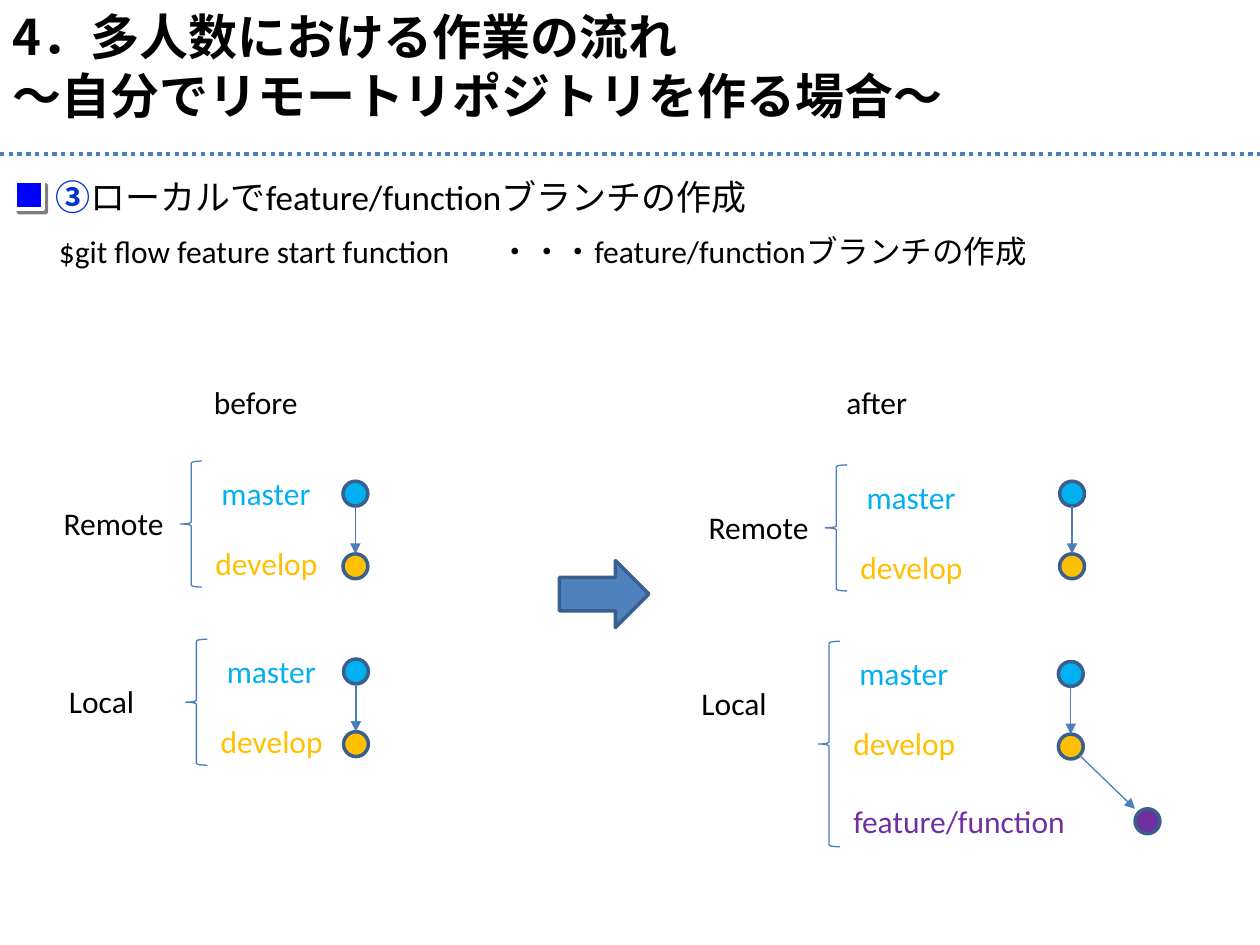
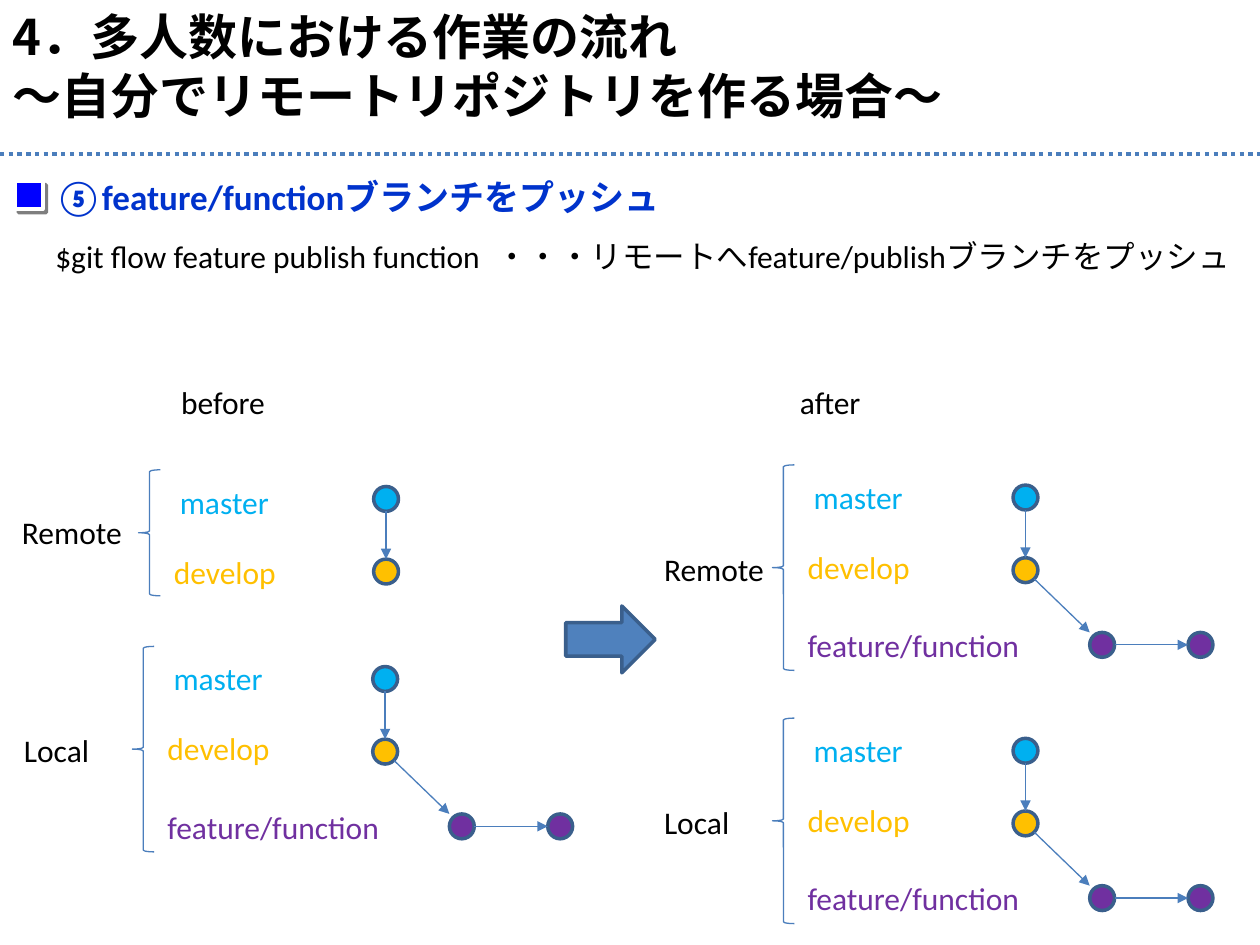
from lxml import etree
from pptx import Presentation
from pptx.dml.color import RGBColor
from pptx.enum import dml, shapes, text
from pptx.oxml import ns
from pptx.util import Pt

BLACK, WHITE, HEADING = "000000", "FFFFFF", "0033CC"
LINE, OUTLINE, ARROW, MARKER = "4B7EBC", "3A5F8C", "4F81BD", "0000FF"
BRANCHES = [("master", "00B0F0", 66), ("develop", "FFC000", 73.5), ("feature/function", "7030A0", 137)]
LATIN, JAPANESE = "Calibri", "Noto Sans CJK JP"
TITLE = "4．多人数における作業の流れ\n～自分でリモートリポジトリを作る場合～"
DOT = 14.2
KIND = shapes.MSO_SHAPE


def paint(target, color):
    """Give a fill, line or font one solid colour, from a hex string."""
    if hasattr(target, "solid"):
        target.solid()
        target.fore_color.rgb = RGBColor.from_string(color)
    elif hasattr(target, "fill") and hasattr(target, "width"):
        paint(target.fill, color)
    else:
        target.color.rgb = RGBColor.from_string(color)


def style(run, size, color=BLACK, bold=False, latin=LATIN, asian=JAPANESE):
    run.font.size, run.font.bold, run.font.name = Pt(size), bold, latin
    paint(run.font, color)
    ea = etree.SubElement(run.font._element, ns.qn("a:ea"), typeface=asian)
    run.font._element.find(ns.qn("a:latin")).addnext(ea)


# Groups: name, (brace x, y), (first dot x, y), number of feature commits, tall brace?
slides = [
    dict(
        heading=[("③", HEADING, True), ("ローカルでfeature/functionブランチの作成", BLACK, False)],
        command="$git flow feature start function\t・・・feature/functionブランチの作成",
        command_at=(26.6, 129),
        captions=[("before", 115.2, 62.6), ("after", 476.6, 49.7)],
        arrow_at=(319.7, 320.4),
        groups=[
            ("Remote", (103, 263.5), (196, 275), 0),
            ("Local", (106, 365.3), (196.3, 376.6), 0),
            ("Remote", (471.6, 265.7), (605.5, 275), 0),
            ("Local", (467.5, 366.5), (604.8, 378), 1),
        ]),
    dict(
        heading=[("⑤feature/functionブランチをプッシュ", HEADING, True)],
        command="$git flow feature publish function\t・・・リモートへfeature/publishブランチをプッシュ",
        command_at=(24.5, 131.8),
        captions=[("before", 96.5, 62.6), ("after", 450, 49.7)],
        arrow_at=(323.3, 346.3),
        groups=[
            ("Remote", (79.2, 268.5), (213.5, 278), 0),
            ("Local", (75.6, 369.4), (213, 380.9), 2),
            ("Remote", (441.4, 265.7), (578.9, 277.2), 2),
            ("Local", (441.4, 410.4), (578.9, 421.9), 2),
        ]),
]

prs = Presentation()
prs.slide_width, prs.slide_height = Pt(720), Pt(540)

for content in slides:
    s = prs.slides.add_slide(prs.slide_layouts[1])

    # Title and heading
    title, body = s.placeholders
    title.left, title.top, title.width, title.height = Pt(0), Pt(0), Pt(720), Pt(75)
    body.left, body.top, body.width, body.height = Pt(24.5), Pt(96.5), Pt(672), Pt(32)
    title.text_frame.text = TITLE
    for p in title.text_frame.paragraphs:
        p.alignment = text.PP_ALIGN.LEFT
        style(p.runs[0], 28, bold=True, latin=JAPANESE)
    p = body.text_frame.paragraphs[0]
    p.space_before = Pt(0)
    pPr = p._p.get_or_add_pPr()
    pPr.set("marL", "0")
    pPr.set("indent", "0")
    etree.SubElement(pPr, ns.qn("a:buNone"))
    for words, color, bold in content["heading"]:
        r = p.add_run()
        r.text = words
        style(r, 20, color, bold)
    for sp in (title, body):
        sp.text_frame.auto_size = text.MSO_AUTO_SIZE.NONE
        sp.text_frame.vertical_anchor = text.MSO_ANCHOR.TOP

    # Everything on the slide is collected first, then drawn by kind
    labels = [(words, x, 215.3, w, BLACK) for words, x, w in content["captions"]]
    labels.append((content["command"], *content["command_at"], 710, BLACK))
    drawn = [(KIND.RECTANGLE, 8.6, 103.7, 15.8, 15.8, MARKER, WHITE, 2.25),
             (KIND.RIGHT_ARROW, *content["arrow_at"], 51.1, 38.2, ARROW, OUTLINE, 2)]
    lines = [(0, 88, 720, 88)]

    for name, (x, y), (dot_x, dot_y), commits in content["groups"]:
        dx, dy = (-69, 45) if commits == 2 else (-73.7, 21)
        labels.append((name, x + dx, y + dy, 72 if name == "Remote" else 52.6, BLACK))
        drawn.append((KIND.LEFT_BRACE, x, y, 12.5, 117.4 if commits else 72, None, LINE, 0.75))
        for i, (branch, color, w) in enumerate(BRANCHES[:3 if commits else 2]):
            labels.append((branch, x + (13 if i else 16.5), y + (3.8, 43.9, 88.5)[i], w, color))
        offsets = [(0, 0), (0, 41.5), (43.8, 84.2), (100, 84.2)][:2 + commits]
        for i, (ox, oy) in enumerate(offsets):
            drawn.append((KIND.OVAL, dot_x + ox, dot_y + oy, DOT, DOT,
                          BRANCHES[min(i, 2)][1], OUTLINE, 2))
        mid = DOT / 2
        links = [(mid, DOT, mid, 41.5), (12.2, 53.7, 43.8, 84.2),
                 (43.8 + DOT, 84.2 + mid, 100, 84.2 + mid)][:1 + commits]
        lines += [(dot_x + x1, dot_y + y1, dot_x + x2, dot_y + y2) for x1, y1, x2, y2 in links]

    for words, x, y, w, color in labels:
        tf = s.shapes.add_textbox(Pt(x), Pt(y), Pt(w), Pt(29)).text_frame
        tf.word_wrap = words == content["command"]
        tf.text = words
        for r in tf.paragraphs[0].runs:
            style(r, 18, color, asian=LATIN)

    for kind, x, y, w, h, fill, line, weight in drawn:
        sp = s.shapes.add_shape(kind, Pt(x), Pt(y), Pt(w), Pt(h))
        sp.shadow.inherit = False
        if fill:
            paint(sp.fill, fill)
        else:
            sp.fill.background()
        paint(sp.line, line)
        sp.line.width = Pt(weight)
        if fill == MARKER:
            effects = sp._element.spPr.find(ns.qn("a:effectLst"))
            shadow = etree.SubElement(effects, ns.qn("a:outerShdw"), dist=str(Pt(2.8)), dir="2700000")
            black = etree.SubElement(shadow, ns.qn("a:srgbClr"), val=BLACK)
            etree.SubElement(black, ns.qn("a:alpha"), val="50000")

    for i, ends in enumerate(lines):
        c = s.shapes.add_connector(shapes.MSO_CONNECTOR.STRAIGHT, *map(Pt, ends))
        paint(c.line, LINE)
        if i == 0:
            c.line.width = Pt(2.5)
            c.line.dash_style = dml.MSO_LINE.ROUND_DOT
        else:
            c.line.width = Pt(0.75)
            etree.SubElement(c.line._get_or_add_ln(), ns.qn("a:tailEnd"), type="triangle")
        etree.SubElement(c._element.spPr, ns.qn("a:effectLst"))

prs.save("out.pptx")
